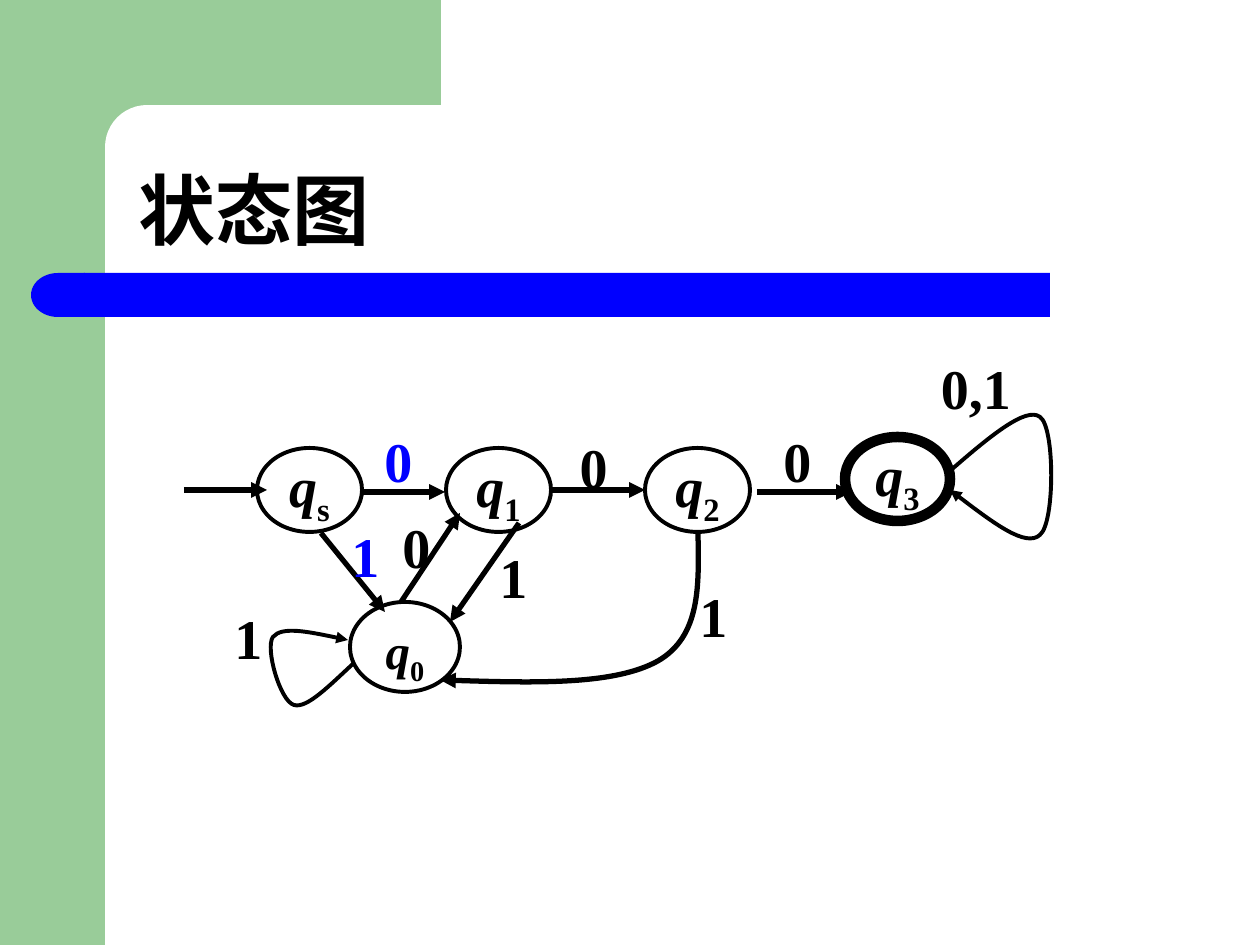
import pptx
import pptx.util
import pptx.dml.color
import pptx.enum.shapes
import pptx.enum.text
import pptx.oxml.ns
from lxml import etree

SHAPE = pptx.enum.shapes.MSO_SHAPE
ANCHOR = pptx.enum.text.MSO_ANCHOR
ALIGN = pptx.enum.text.PP_ALIGN
PX = 914400 // 126
FONT = "Times New Roman"
COLORS = {"green": "99CC99", "white": "FFFFFF", "blue": "0000FF", "black": "000000"}

# Content, in px
TITLE = ("状态图", (126, 105, 1102, 157))
BACKDROP = [  # preset, box, colour, corner, flipped
    (SHAPE.RECTANGLE, (0, 0, 105, 945), "green", None, False),
    (SHAPE.RECTANGLE, (95, 0, 346, 147), "green", None, False),
    (SHAPE.ROUNDED_RECTANGLE, (105, 105, 703, 84), "white", 0.5, False),
    (SHAPE.ROUNDED_RECTANGLE, (84, 273, 966, 44), "blue", 0, False),
    (SHAPE.FLOWCHART_DELAY, (31, 273, 54, 44), "blue", None, True),
]
STATES = [  # subscript, box, outline in pt
    ("s", (257, 448, 105, 84), 2.25),
    ("1", (446, 448, 105, 84), 2.25),
    ("2", (645, 448, 105, 84), 2.25),
    ("3", (845, 437, 105, 84), 6),
]
START_STATE = ("0", (350, 602, 110, 90), 2.25)
TRANSITIONS = [  # from, to
    ((184, 490), (267, 490)),
    ((360, 492), (445, 492)),
    ((551, 490), (645, 490)),
    ((757, 492), (852, 492)),
    ((321, 533), (385, 612)),
    ((401, 602), (460, 513)),
    ((519, 523), (450, 622)),
]
CURVES = [  # start point, then control, control, end for each segment; outline in pt
    ([(354, 663), (330, 685), (307, 709), (294, 705),
      (280, 701), (265, 648), (273, 637), (282, 626), (315, 633), (348, 640)], 2.25),
    ([(950, 471), (988, 438), (1026, 406), (1040, 417),
      (1055, 427), (1055, 523), (1040, 535), (1026, 548), (988, 519), (950, 490)], 2.25),
    ([(698, 532), (699, 585), (701, 636), (658, 661),
      (615, 685), (528, 683), (440, 680)], 3),
]
LABELS = [  # text, left, top, width, colour
    ("0", 383, 427, 31, "blue"),
    ("1", 350, 522, 31, "blue"),
    ("0", 401, 513, 31, "black"),
    ("1", 498, 543, 31, "black"),
    ("0", 578, 433, 31, "black"),
    ("0", 782, 427, 31, "black"),
    ("0,1", 929, 354, 94, "black"),
    ("1", 698, 582, 31, "black"),
    ("1", 233, 604, 31, "black"),
]
LABEL_HEIGHT = 67


def emu(lengths):
    return [length * PX for length in lengths]


def rgb(name):
    return pptx.dml.color.RGBColor.from_string(COLORS[name])


def write(shape, text, *, subscript="", size=32, color="black", italic=False,
          align=ALIGN.CENTER, anchor=ANCHOR.MIDDLE, wrap=True, inset=None, spacing=None):
    frame = shape.text_frame
    frame.word_wrap = wrap
    frame.auto_size = pptx.enum.text.MSO_AUTO_SIZE.NONE
    frame.vertical_anchor = anchor
    if inset is not None:
        frame.margin_left = frame.margin_right = inset
        frame.margin_top = frame.margin_bottom = inset
    paragraph = frame.paragraphs[0]
    paragraph.alignment = align
    if spacing:
        paragraph.line_spacing = spacing
    for part, slanted, lowered in ((text, italic, False), (subscript, False, True)):
        if not part:
            continue
        run = paragraph.add_run()
        run.text = part
        run.font.name = FONT
        run.font.size = pptx.util.Pt(size)
        run.font.bold = True
        run.font.italic = slanted
        run.font.color.rgb = rgb(color)
        if lowered:
            run.font._element.set("baseline", "-25000")
    return paragraph


def outline(shape, width, arrow=False):
    shape.line.color.rgb = rgb("black")
    shape.line.width = pptx.util.Pt(width)
    if arrow:
        tail = etree.SubElement(shape.line._get_or_add_ln(), pptx.oxml.ns.qn("a:tailEnd"))
        tail.set("type", "triangle")


def add_state(shapes, box, width):
    state = shapes.add_shape(SHAPE.OVAL, *emu(box))
    state.shadow.inherit = False
    state.fill.background()
    outline(state, width)
    return state


def add_curve(shapes, points, width):
    builder = shapes.build_freeform(*points[0], scale=float(PX))
    builder.add_line_segments(points[1:], close=False)
    curve = builder.convert_to_shape()
    # Every three points become one cubic segment
    lines = list(curve.element.iter(pptx.oxml.ns.qn("a:lnTo")))
    for first in range(0, len(lines), 3):
        bezier = etree.Element(pptx.oxml.ns.qn("a:cubicBezTo"))
        lines[first].addprevious(bezier)
        for line in lines[first:first + 3]:
            bezier.append(line[0])
            line.getparent().remove(line)
    curve.shadow.inherit = False
    curve.fill.background()
    outline(curve, width, arrow=True)


def main():
    deck = pptx.Presentation()
    deck.slide_width, deck.slide_height = emu((1260, 945))
    slide = deck.slides.add_slide(deck.slide_layouts[5])
    shapes = slide.shapes

    # Backdrop
    for preset, box, color, corner, flipped in BACKDROP:
        panel = shapes.add_shape(preset, *emu(box))
        panel.shadow.inherit = False
        panel.fill.solid()
        panel.fill.fore_color.rgb = rgb(color)
        panel.line.fill.background()
        if corner is not None:
            panel.adjustments[0] = corner
        if flipped:
            panel.element.spPr.get_or_add_xfrm().set("flipH", "1")

    # Title, in front of the backdrop
    title = shapes.title
    panel.element.addnext(title.element)
    text, box = TITLE
    title.left, title.top, title.width, title.height = emu(box)
    write(title, text, size=44, align=ALIGN.LEFT, anchor=ANCHOR.BOTTOM, spacing=0.9)

    # States
    for subscript, box, width in STATES:
        state = add_state(shapes, box, width)
        write(state, "q", subscript=subscript, italic=True, wrap=False)
    subscript, box, width = START_STATE
    state = add_state(shapes, box, width)
    paragraph = write(state, "q", subscript=subscript, size=28, italic=True,
                      anchor=ANCHOR.TOP, spacing=0.9)
    properties = paragraph._p.get_or_add_pPr()
    properties.set("marL", str(48 * PX))
    properties.set("indent", str(-48 * PX))

    # Transitions
    for start, end in TRANSITIONS:
        arrow = shapes.add_connector(
            pptx.enum.shapes.MSO_CONNECTOR.STRAIGHT, *emu(start + end))
        outline(arrow, 3, arrow=True)
        etree.SubElement(arrow.element.spPr, pptx.oxml.ns.qn("a:effectLst"))
    for points, width in CURVES:
        add_curve(shapes, points, width)

    # Transition labels
    for text, left, top, width, color in LABELS:
        label = shapes.add_textbox(*emu((left, top, width, LABEL_HEIGHT)))
        write(label, text, color=color, inset=0)

    deck.save("out.pptx")


if __name__ == "__main__":
    main()
